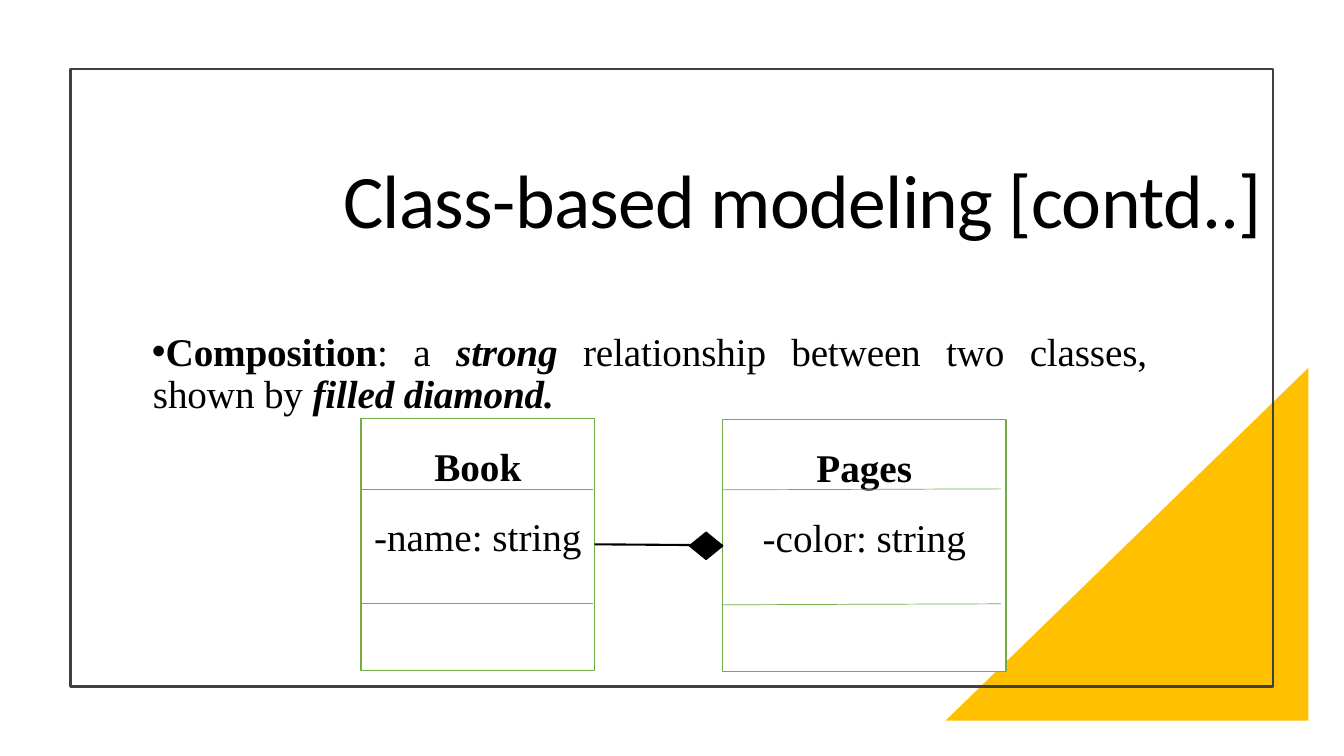
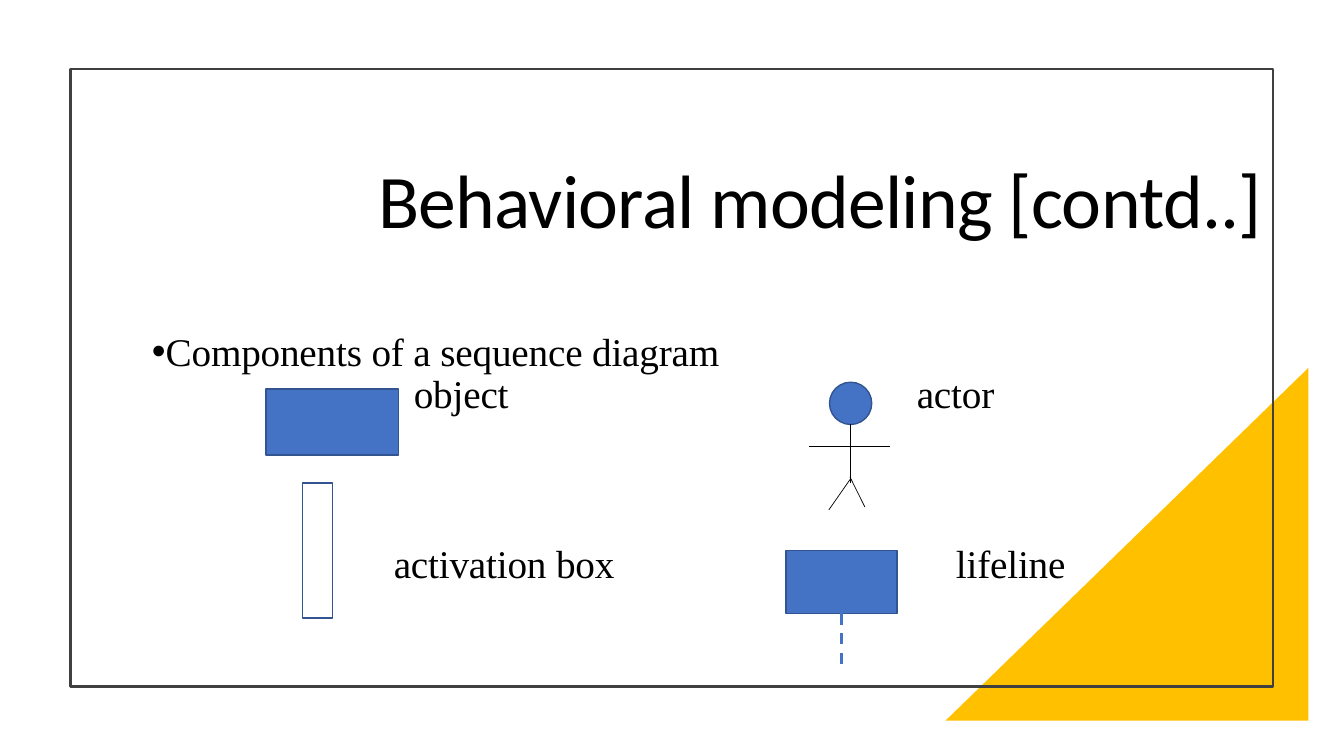
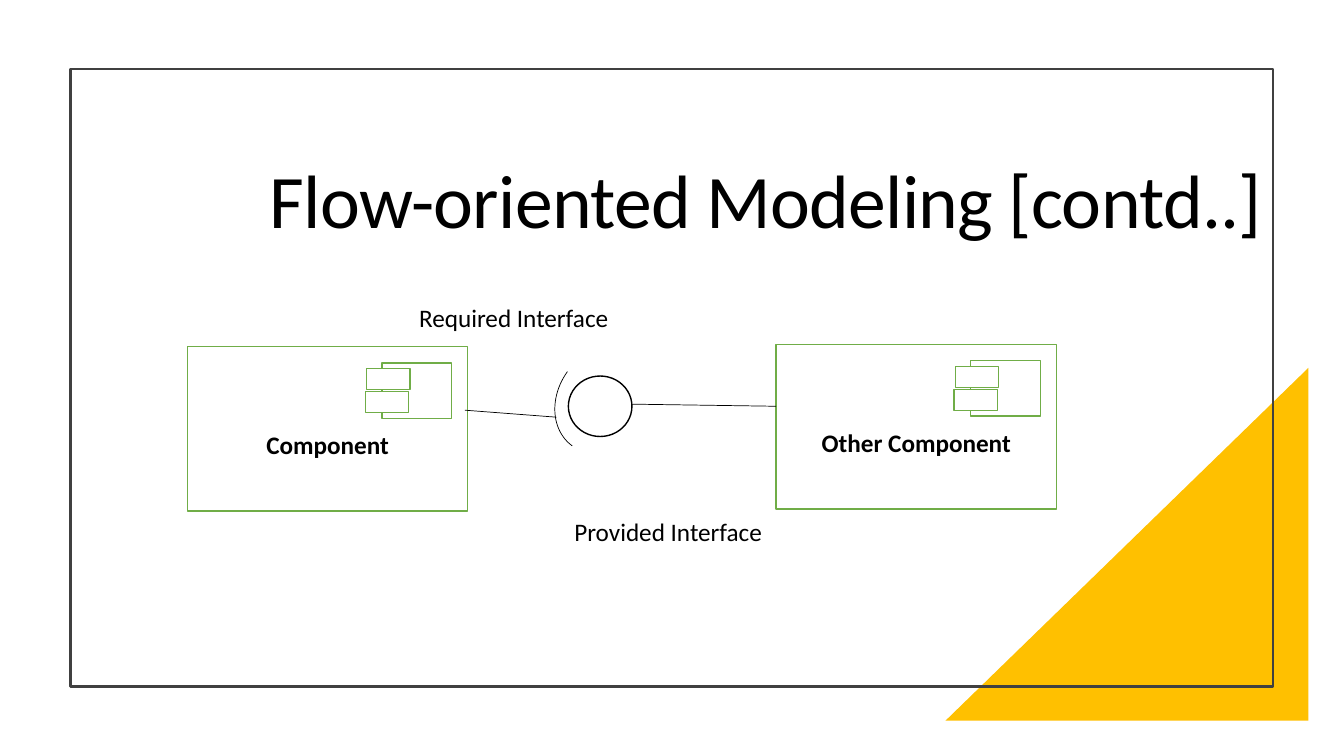
from lxml import etree
from pptx import Presentation
from pptx.dml.color import RGBColor
from pptx.enum.dml import MSO_LINE
from pptx.enum.shapes import MSO_CONNECTOR, MSO_SHAPE as SHAPE
from pptx.enum.text import MSO_ANCHOR as ANCHOR, PP_ALIGN as ALIGN
from pptx.oxml.ns import qn
from pptx.util import Pt

BLACK = RGBColor(0x00, 0x00, 0x00)
WHITE = RGBColor(0xFF, 0xFF, 0xFF)
GREY = RGBColor(0x40, 0x40, 0x40)
AMBER = RGBColor(0xFF, 0xC0, 0x00)
GREEN = RGBColor(0x70, 0xAD, 0x47)
BLUE = RGBColor(0x44, 0x72, 0xC4)
NAVY = RGBColor(0x32, 0x54, 0x91)

BOLD = {"bold": True}
STRONG = {"bold": True, "italic": True}
SERIF = {"name": "Times New Roman", "size": Pt(28)}
SANS = {"name": "Calibri", "size": Pt(18)}
BODY_PARA = {"alignment": ALIGN.JUSTIFY, "line_spacing": 0.9}

# Each style: frame, paragraph and font attributes, then raw a:pPr and a:rPr attributes
STYLES = {
    "title": ({"word_wrap": True, "vertical_anchor": ANCHOR.MIDDLE},
              {"alignment": ALIGN.RIGHT, "line_spacing": 0.9},
              {"name": "Calibri", "size": Pt(54)}, {"marL": "228600"}, {"spc": "-50"}),
    "bullet": ({"word_wrap": True}, BODY_PARA, SERIF,
               {"marL": "9144", "indent": "-228600"}, {"spc": "-10"}),
    "label": ({"word_wrap": True}, BODY_PARA, SERIF, {}, {"spc": "-10"}),
    "class": ({"vertical_anchor": ANCHOR.TOP, "margin_top": Pt(17.5)},
              {"alignment": ALIGN.CENTER, "space_after": Pt(16)}, SERIF, {}, {}),
    "component": ({"vertical_anchor": ANCHOR.MIDDLE, "margin_top": Pt(25.6)},
                  {"alignment": ALIGN.CENTER}, SANS, {}, {}),
    "caption": ({"word_wrap": True}, {}, SANS, {}, {}),
}


def add_box(s, kind, x, y, w, h, fill=None, line=None, weight=1):
    sp = s.shapes.add_shape(kind, Pt(x), Pt(y), Pt(w), Pt(h))
    sp.shadow.inherit = False
    for part, color in ((sp.fill, fill), (sp.line.fill, line)):
        if color is None:
            part.background()
        else:
            part.solid()
            part.fore_color.rgb = color
    if line is not None:
        sp.line.width = Pt(weight)
    return sp


def add_line(s, x1, y1, x2, y2, color=BLACK, weight=0.5):
    cx = s.shapes.add_connector(MSO_CONNECTOR.STRAIGHT, Pt(x1), Pt(y1), Pt(x2), Pt(y2))
    cx.line.color.rgb = color
    cx.line.width = Pt(weight)
    etree.SubElement(cx._element.spPr, qn("a:effectLst"))
    return cx


prs = Presentation()
prs.slide_width, prs.slide_height = Pt(960), Pt(540)
texts = []  # (text frame, style, paragraphs as lists of runs)

for title in ("Class-based modeling [contd..]", "Behavioral modeling [contd..]",
              "Flow-oriented Modeling [contd..]"):
    s = prs.slides.add_slide(prs.slide_layouts[6])
    corner = add_box(s, SHAPE.RIGHT_TRIANGLE, 675.4, 262.8, 259.2, 252, AMBER)
    corner._element.spPr.xfrm.set("flipH", "1")
    add_box(s, SHAPE.RECTANGLE, 50.4, 49, 859, 441.4, line=GREY, weight=1.5)
    tb = s.shapes.add_textbox(Pt(75.6), Pt(82), Pt(833), Pt(127.4))
    texts.append((tb.text_frame, "title", [[(title, {})]]))
class_slide, sequence_slide, flow_slide = prs.slides

BULLETS = (
    (class_slide, [("Composition", BOLD), (": a ", {}), ("strong", STRONG),
                   (" relationship between two classes, shown by ", {}),
                   ("filled diamond.", STRONG)]),
    (sequence_slide, [("Components of a sequence diagram", {})]),
)
for s, runs in BULLETS:
    tb = s.shapes.add_textbox(Pt(101.5), Pt(234), Pt(725), Pt(70))
    texts.append((tb.text_frame, "bullet", [runs]))

# Slide 1: two classes joined by a composition
s = class_slide
classes = []
for name, attribute, x, y, w, rule_w, tilt in (
        ("Book", "-name: string", 257.8, 298.8, 167, 166, 0),
        ("Pages", "-color: string", 516.2, 299.5, 202.3, 199, 0.7)):
    sp = add_box(s, SHAPE.RECTANGLE, x, y, w, 180, WHITE, GREEN)
    texts.append((sp.text_frame, "class", [[(name, BOLD)], [(attribute, {})]]))
    for dy in (50.4, 132.5):
        add_line(s, x, y + dy, x + rule_w, y + dy - tilt, GREEN)
    classes.append(sp)
book, pages = classes
link = add_line(s, 425, 389, 516, 389.5, weight=1.5)
link.begin_connect(book, 3)
link.end_connect(pages, 1)
add_box(s, SHAPE.DIAMOND, 492.5, 380.2, 23.8, 19.4, BLACK, BLACK)

# Slide 2: parts of a sequence diagram
s = sequence_slide
add_box(s, SHAPE.RECTANGLE, 190, 278, 94.5, 47, BLUE, NAVY)
add_box(s, SHAPE.RECTANGLE, 216, 345, 21.6, 96.5, line=NAVY)
add_box(s, SHAPE.OVAL, 592.5, 273, 30.2, 30.2, BLUE, NAVY)
for limb in ((607.7, 303.2, 607.7, 345), (578, 319, 635.8, 319),
             (607.2, 340.8, 617.8, 362.2), (607.2, 342.5, 592, 364.3)):
    add_line(s, *limb)
head = add_box(s, SHAPE.RECTANGLE, 561.6, 393.3, 79.2, 44.9, BLUE, NAVY)
lifeline = add_line(s, 601.2, 438.2, 601.2, 478, BLUE, 2)
lifeline.line.dash_style = MSO_LINE.DASH
lifeline.begin_connect(head, 2)
for label, x, y in (("object", 288.5, 264), ("actor", 647.8, 264),
                    ("activation box", 274.2, 385.4), ("lifeline", 675.7, 385.4)):
    tb = s.shapes.add_textbox(Pt(x), Pt(y), Pt(200), Pt(38))
    texts.append((tb.text_frame, "label", [[(label, {})]]))

# Slide 3: components joined through an interface
s = flow_slide
for name, x, y in (("Component", 133.9, 247.7), ("Other Component", 554.4, 246.2)):
    sp = add_box(s, SHAPE.RECTANGLE, x, y, 200.2, 117.4, WHITE, GREEN)
    texts.append((sp.text_frame, "component", [[(name, BOLD)]]))
    for dx, dy, w, h in ((139, 11.5, 49.7, 39.6), (128, 15.5, 31, 15),
                         (127, 32, 31, 15)):
        add_box(s, SHAPE.RECTANGLE, x + dx, y + dy, w, h, WHITE, GREEN)
socket = add_box(s, SHAPE.ARC, 398.9, 244.1, 67.7, 82.1, line=BLACK, weight=0.5)
socket.rotation = 215.8
add_line(s, 332, 293, 397.4, 298)
add_box(s, SHAPE.OVAL, 406, 268.6, 45.4, 43.2, WHITE, BLACK)
add_line(s, 451.4, 288.7, 554.4, 290.2)
for caption, x, y in (("Required Interface", 292.3, 212.4),
                      ("Provided Interface", 403.2, 365)):
    tb = s.shapes.add_textbox(Pt(x), Pt(y), Pt(160), Pt(29))
    texts.append((tb.text_frame, "caption", [[(caption, {})]]))

for tf, style, paragraphs in texts:
    frame, para, font, para_xml, run_xml = STYLES[style]
    for key, value in frame.items():
        setattr(tf, key, value)
    for i, runs in enumerate(paragraphs):
        p = tf.add_paragraph() if i else tf.paragraphs[0]
        for key, value in para.items():
            setattr(p, key, value)
        pPr = p._p.get_or_add_pPr()
        for key, value in para_xml.items():
            pPr.set(key, value)
        if style == "bullet":
            etree.SubElement(pPr, qn("a:buFont")).set("typeface", "Arial")
            etree.SubElement(pPr, qn("a:buChar")).set("char", "•")
        for text, fmt in runs:
            r = p.add_run()
            r.text = text
            for key, value in {**font, **fmt}.items():
                setattr(r.font, key, value)
            r.font.color.rgb = BLACK
            for key, value in run_xml.items():
                r._r.get_or_add_rPr().set(key, value)

prs.save("out.pptx")
